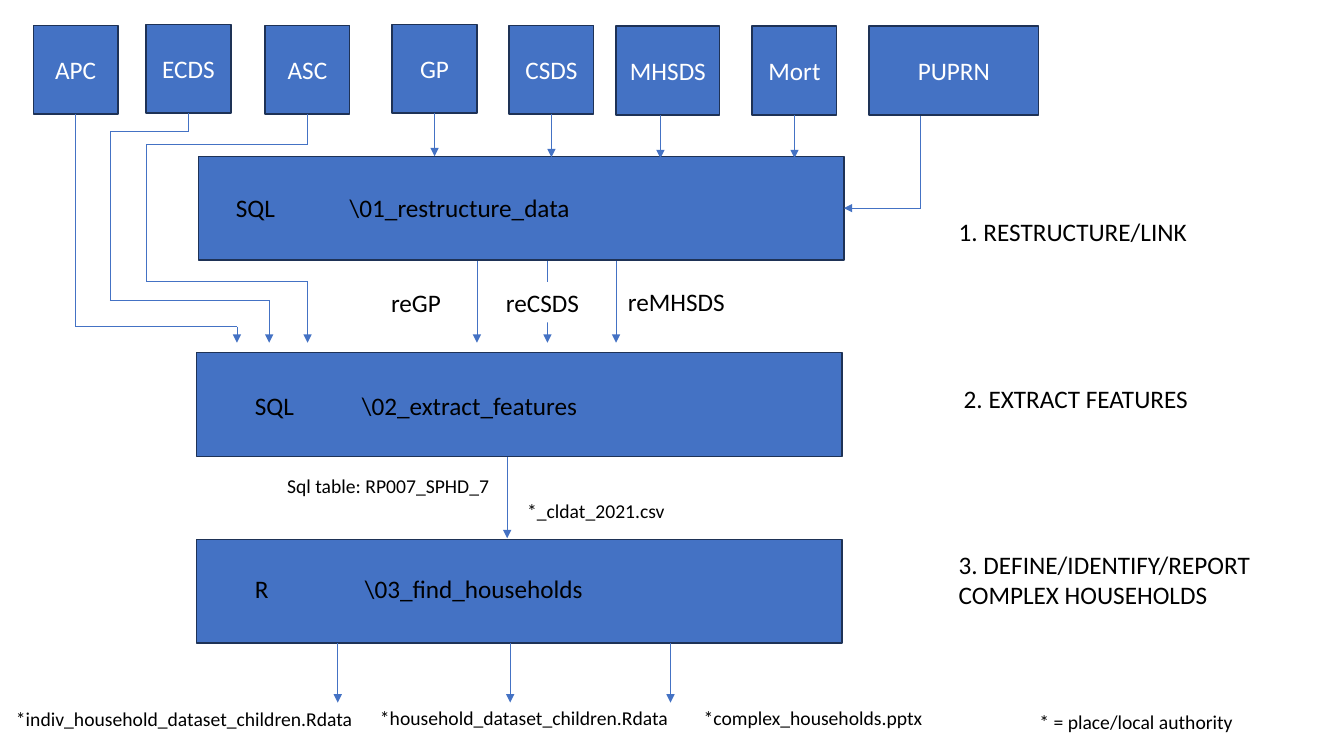
"""Build a slide showing the data flow from source datasets to household reports."""
from lxml import etree
from pptx import Presentation
from pptx.dml.color import RGBColor
from pptx.enum.shapes import MSO_CONNECTOR, MSO_SHAPE
from pptx.enum.text import MSO_ANCHOR, MSO_AUTO_SIZE, PP_ALIGN
from pptx.oxml.ns import qn
from pptx.util import Inches, Pt

RECT = MSO_SHAPE.RECTANGLE
STRAIGHT = MSO_CONNECTOR.STRAIGHT
LEFT, CENTER = PP_ALIGN.LEFT, PP_ALIGN.CENTER
TOP, MIDDLE = MSO_ANCHOR.TOP, MSO_ANCHOR.MIDDLE
FIT = MSO_AUTO_SIZE.SHAPE_TO_FIT_TEXT
COLORS = {k: RGBColor.from_string(v) for k, v in {
    "blue": "4472C4", "edge": "1E3256", "white": "FFFFFF", "black": "000000"}.items()}

prs = Presentation()
prs.slide_width, prs.slide_height = Inches(13.33), Inches(7.5)
s = prs.slides.add_slide(prs.slide_layouts[6])


def add_text(text, x, y, w, h=0.4, size=18, color="black", fill=None, edge=None,
             align=LEFT, anchor=TOP):
    box = [Inches(v) for v in (x, y, w, h)]
    if fill:
        sp = s.shapes.add_shape(RECT, *box)
        sp.shadow.inherit = False
        sp.fill.solid()
        sp.fill.fore_color.rgb = COLORS[fill]
        if edge:
            sp.line.color.rgb = COLORS[edge]
            sp.line.width = Pt(1)
        else:
            sp.line.fill.background()
    else:
        sp = s.shapes.add_textbox(*box)
    if text:
        tf = sp.text_frame
        tf.word_wrap = True
        tf.vertical_anchor = anchor
        if not edge:
            tf.auto_size = FIT
        p = tf.paragraphs[0]
        p.alignment = align
        r = p.add_run()
        r.text = text
        r.font.name = "Calibri"
        r.font.size = Pt(size)
        r.font.color.rgb = COLORS[color]
    return sp


def add_route(*points, start=None, end=None):
    last = len(points) - 2
    for i, (a, b) in enumerate(zip(points, points[1:])):
        cxn = s.shapes.add_connector(STRAIGHT, *[Inches(v) for v in (*a, *b)])
        cxn.line.color.rgb = COLORS["blue"]
        cxn.line.width = Pt(0.5)
        etree.SubElement(cxn._element.spPr, qn("a:effectLst"))
        if i == 0 and start:
            cxn.begin_connect(start, 2)
        if i == last:
            if end:
                cxn.end_connect(end, 3)
            etree.SubElement(cxn.line._get_or_add_ln(), qn("a:tailEnd"), type="triangle")


stages = [add_text("", x, y, 6.4, 1.03, fill="blue", edge="edge")
          for x, y in [(1.97, 1.55), (1.95, 3.5), (1.95, 5.35)]]

sources = {}
for name, x, y, w in [
    ("APC", 0.33, 0.25, 0.84), ("ECDS", 1.45, 0.24, 0.84), ("ASC", 2.63, 0.25, 0.84),
    ("GP", 3.89, 0.24, 0.84), ("CSDS", 5.05, 0.25, 0.84), ("MHSDS", 6.11, 0.26, 1.03),
    ("Mort", 7.46, 0.26, 0.84), ("PUPRN", 8.62, 0.26, 1.68),
]:
    sources[name] = add_text(name, x, y, w, 0.88, color="white", fill="blue",
                             edge="edge", align=CENTER, anchor=MIDDLE)

for text, x, y, w in [
    ("SQL", 2.24, 1.86, 0.74), ("\\01_restructure_data", 3.37, 1.86, 3.88),
    ("SQL", 2.43, 3.82, 0.65), ("\\02_extract_features", 3.49, 3.82, 3.88),
    ("R", 2.43, 5.64, 0.65), ("\\03_find_households", 3.52, 5.64, 3.88),
    ("1. RESTRUCTURE/LINK", 9.41, 2.1, 2.71),
    ("2. EXTRACT FEATURES", 9.46, 3.75, 2.71),
    ("3. DEFINE/IDENTIFY/REPORT COMPLEX HOUSEHOLDS", 9.41, 5.4, 3.1),
]:
    add_text(text, x, y, w)

for name, x, y in [("GP", 4.31, 1.12), ("CSDS", 5.47, 1.13), ("Mort", 7.88, 1.14)]:
    add_route((x, y), (x, y + 0.43), start=sources[name])
add_route((6.55, 1.14), (6.55, 1.57))

link_y = 1.55 + 1.03 / 2
add_route((9.13, 1.15), (9.13, link_y), (8.37, link_y), end=stages[0])

add_route((0.75, 1.13), (0.75, 3.24), (2.35, 3.24), (2.35, 3.4), start=sources["APC"])
for name, x, upper, left, lower, target in [
    ("ECDS", 1.87, 1.3, 1.09, 2.98, 2.67), ("ASC", 3.05, 1.43, 1.45, 2.79, 3.05),
]:
    add_route((x, 1.13), (x, upper), (left, upper), (left, lower), (target, lower),
              (target, 3.4), start=sources[name])

for xs, y1, y2 in [((4.73, 5.43, 6.11), 2.59, 3.4), ((5.03,), 4.53, 5.34),
                   ((3.35, 5.06, 6.65), 6.38, 6.97)]:
    for x in xs:
        add_route((x, y1), (x, y2))

for text, x, y, w in [
    ("Sql table: RP007_SPHD_7", 2.75, 4.65, 3),
    ("*_cldat_2021.csv", 5.13, 4.9, 2.9),
    ("*indiv_household_dataset_children.Rdata", 0.06, 6.96, 4.72),
    ("*household_dataset_children.Rdata", 3.67, 6.95, 3.91),
    ("*complex_households.pptx", 6.88, 6.95, 3.1),
    ("* = place/local authority", 10.21, 6.99, 2.95),
]:
    add_text(text, x, y, w, 0.34, size=14)

add_text("reGP", 3.78, 2.8, 0.82)
add_text("reCSDS", 4.92, 2.8, 1.03, fill="white")
add_text("reMHSDS", 6.13, 2.79, 1.71)

prs.save("out.pptx")
